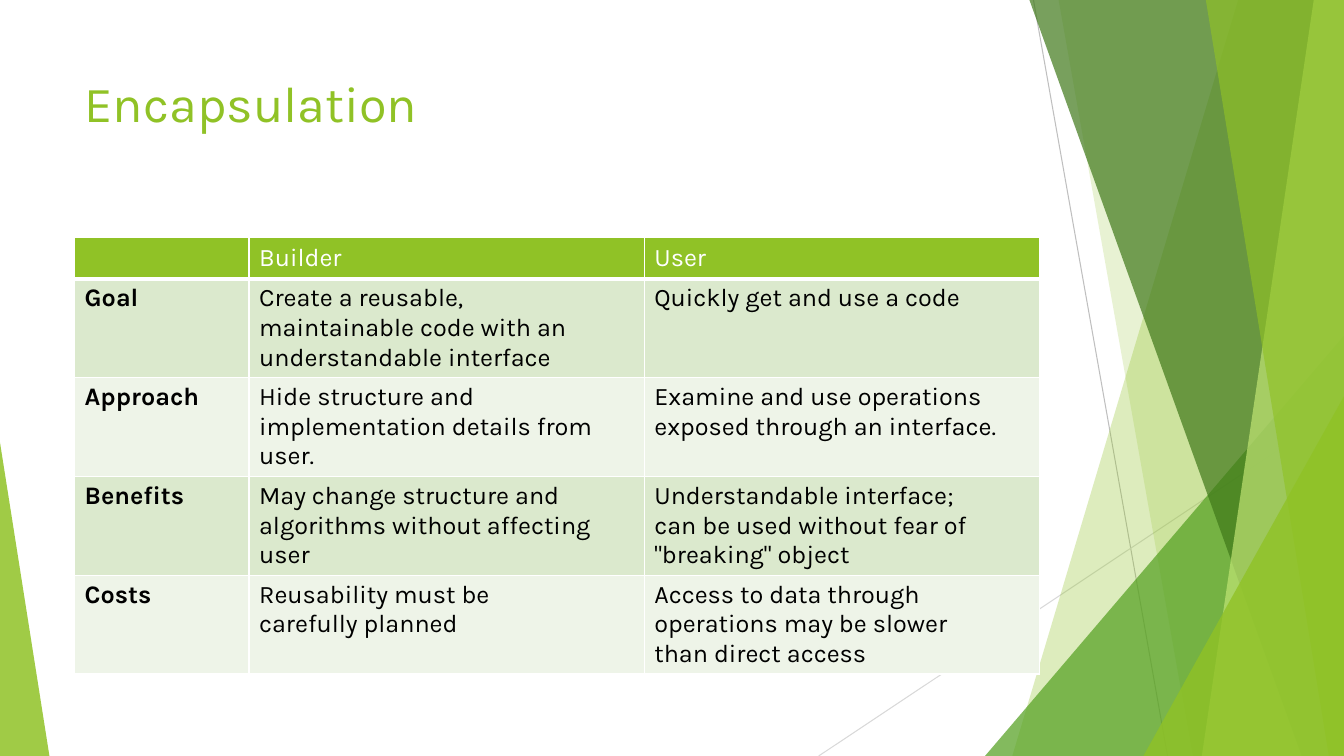
from lxml.etree import SubElement
from pptx import Presentation
from pptx.dml.color import RGBColor
from pptx.enum.shapes import MSO_CONNECTOR as CONN, MSO_SHAPE as SHAPE
from pptx.enum.text import MSO_ANCHOR as ANCHOR, PP_ALIGN as ALIGN
from pptx.oxml.ns import qn
from pptx.util import Pt

PX = 9144
W, H = 1333, 750
COLORS = {
    "green": "90C226", "mid": "54A021", "dark": "3F7819", "light": "C0E474",
    "band": "DBE9CD", "pale": "EEF4E8", "white": "FFFFFF", "black": "000000",
    "grey": "BFBFBF", "silver": "D9D9D9",
}


class Deck:
    """Holds the style and the current slide, and draws each kind of element."""

    font = "Karla"

    def __init__(self):
        self.prs = Presentation()
        self.prs.slide_width, self.prs.slide_height = W * PX, H * PX
        self.s = self.prs.slides.add_slide(self.prs.slide_layouts[5])

    def rgb(self, name):
        return RGBColor.from_string(COLORS[name])

    def format(self, tf, color, **values):
        for p in tf.paragraphs:
            p.alignment = ALIGN.LEFT
            for r in p.runs:
                r.font.color.rgb = self.rgb(color)
                for key, value in {"name": self.font, **values}.items():
                    setattr(r.font, key, value)

    def title(self, text, x, y, w, h):
        sp = self.s.shapes.title
        sp.element.getparent().append(sp.element)
        sp.left, sp.top, sp.width, sp.height = (v * PX for v in (x, y, w, h))
        sp.text_frame.text = text
        sp.text_frame.vertical_anchor = ANCHOR.TOP
        self.format(sp.text_frame, "green", size=Pt(36), bold=False)

    def line(self, x1, y1, x2, y2, color):
        ends = (v * PX for v in (x1, y1, x2, y2))
        cn = self.s.shapes.add_connector(CONN.STRAIGHT, *ends)
        cn.line.color.rgb = self.rgb(color)
        cn.line.width = Pt(0.75)
        SubElement(cn.element.spPr, qn("a:effectLst"))

    def paint(self, sp, color, alpha):
        sp.shadow.inherit = False
        sp.fill.solid()
        sp.fill.fore_color.rgb = self.rgb(color)
        sp.line.fill.background()
        clr = sp.element.spPr.find(".//" + qn("a:srgbClr"))
        SubElement(clr, qn("a:alpha"), val=str(alpha * 1000))

    def shard(self, top, bottom, color, alpha):
        fb = self.s.shapes.build_freeform(top, 0, scale=PX)
        fb.add_line_segments([(W, 0), (W, H), (bottom, H)], close=True)
        self.paint(fb.convert_to_shape(), color, alpha)

    def triangle(self, x, y, w, apex, color, alpha):
        box = (v * PX for v in (x, y, w, H - y))
        sp = self.s.shapes.add_shape(SHAPE.ISOSCELES_TRIANGLE, *box)
        sp.adjustments[0] = apex
        self.paint(sp, color, alpha)

    def borders(self, cell, bottom):
        pr = cell._tc.get_or_add_tcPr()
        for i, side in enumerate("LRTB"):
            width = Pt(bottom if side == "B" else 1)
            ln = SubElement(pr, qn(f"a:ln{side}"), w=str(width))
            fill = SubElement(ln, qn("a:solidFill"))
            SubElement(fill, qn("a:srgbClr"), val=COLORS["white"])
            pr.insert(i, ln)

    def table(self, x, y, cols, rows, data):
        box = (v * PX for v in (x, y, sum(cols), sum(rows)))
        tbl = self.s.shapes.add_table(len(rows), len(cols), *box).table
        for col, w in zip(tbl.columns, cols):
            col.width = w * PX
        for i, (row, h) in enumerate(zip(tbl.rows, rows)):
            row.height = h * PX
            fill = "green" if i == 0 else ("band" if i % 2 else "pale")
            for j, cell in enumerate(row.cells):
                cell.text = data[i][j]
                cell.fill.solid()
                cell.fill.fore_color.rgb = self.rgb(fill)
                self.borders(cell, 1 if i else 3)
                self.format(cell.text_frame, "black" if i else "white",
                            size=Pt(18), bold=i > 0 and j == 0)


ROWS = [
    ("", "Builder", "User"),
    ("Goal",
     "Create a reusable,\nmaintainable code with an\nunderstandable interface",
     "Quickly get and use a code"),
    ("Approach",
     "Hide structure and\nimplementation details from user.",
     "Examine and use operations\nexposed through an interface."),
    ("Benefits",
     "May change structure and\nalgorithms without affecting\nuser",
     "Understandable interface;\ncan be used without fear of\n\"breaking\" object"),
    ("Costs",
     "Reusability must be\ncarefully planned",
     "Access to data through\noperations may be slower\nthan direct access"),
]


def main():
    d = Deck()
    d.line(1025, 0, 1158, H, "grey")
    d.line(W, 403, 812, H, "silver")
    d.shard(1228, 1004, "green", 30)
    d.shard(1050, 1183, "green", 20)
    d.triangle(977, 333, 356, 1, "mid", 72)
    d.shard(1021, 1291, "dark", 70)
    d.shard(1303, 1192, "light", 70)
    d.shard(1196, 1318, "green", 65)
    d.triangle(1134, 393, 199, 1, "green", 80)
    d.triangle(0, 439, 49, 0, "green", 85)
    d.title("Encapsulation", 74, 67, 940, 144)
    d.table(74, 236, [173, 392, 392], [40] + [98] * 4, ROWS)
    d.prs.save("out.pptx")


if __name__ == "__main__":
    main()
